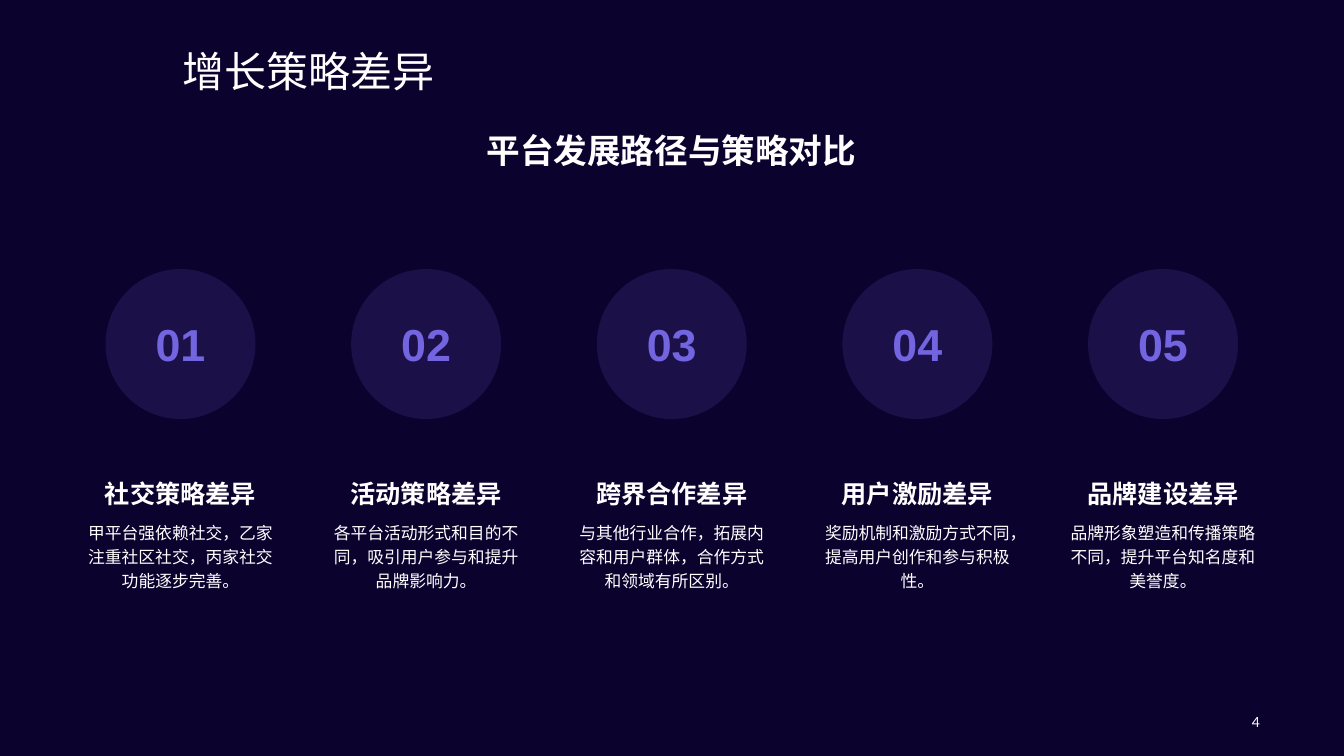
from dataclasses import dataclass

from lxml import etree
from pptx import Presentation
from pptx import util as u
from pptx.dml.color import RGBColor
from pptx.enum import shapes, text
from pptx.oxml import ns


@dataclass(frozen=True)
class Theme:
    """Colours, fonts and type sizes of the slide."""
    background: str = "0C022E"
    accent: str = "7365DF"
    ink: str = "FFFFFF"
    chinese: str = "Noto Sans CJK SC"
    latin: str = "Arial"
    footer: str = "Lato"
    title: int = 30
    subtitle: int = 24
    number: int = 32
    heading: int = 18
    body: int = 12
    page: int = 10


THEME = Theme()
ALIGN = text.PP_ALIGN
ANCHOR = text.MSO_ANCHOR
COLUMN_LEFT, COLUMN_WIDTH, COLUMN_PITCH = 1.83, 5.44, 6.19
CIRCLE_TOP, CIRCLE_SIZE = 6.78, 3.78
STRATEGIES = [
    ("社交策略差异", "甲平台强依赖社交，乙家注重社区社交，丙家社交功能逐步完善。"),
    ("活动策略差异", "各平台活动形式和目的不同，吸引用户参与和提升品牌影响力。"),
    ("跨界合作差异", "与其他行业合作，拓展内容和用户群体，合作方式和领域有所区别。"),
    ("用户激励差异", "奖励机制和激励方式不同，提高用户创作和参与积极性。"),
    ("品牌建设差异", "品牌形象塑造和传播策略不同，提升平台知名度和美誉度。"),
]


def write_text(shape, wording, size, color=THEME.ink, font=THEME.chinese,
               bold=False, align=ALIGN.CENTER, anchor=ANCHOR.TOP, spacing=None):
    """Write one formatted paragraph into a shape."""
    frame = shape.text_frame
    paragraph = frame.paragraphs[0]
    run = paragraph.add_run()
    run.text = wording
    formats = {
        frame: {"word_wrap": True, "vertical_anchor": anchor},
        paragraph: {"alignment": align, "line_spacing": spacing},
        run.font: {"name": font, "size": u.Pt(size), "bold": bold},
    }
    for target, values in formats.items():
        for name, value in values.items():
            setattr(target, name, value)
    run.font.color.rgb = RGBColor.from_string(color)
    east_asian = etree.SubElement(run.font._element, ns.qn("a:ea"))
    east_asian.set("typeface", font)


def add_text(slide, box, wording, size, **formats):
    """Add a text box at left, top, width, height in centimetres."""
    shape = slide.shapes.add_textbox(*map(u.Cm, box))
    write_text(shape, wording, size, **formats)


def add_number_circle(slide, left, wording):
    """Add a translucent circle holding a number."""
    box = (left, CIRCLE_TOP, CIRCLE_SIZE, CIRCLE_SIZE)
    circle = slide.shapes.add_shape(shapes.MSO_SHAPE.OVAL, *map(u.Cm, box))
    circle.shadow.inherit = False
    circle.line.fill.background()
    circle.fill.solid()
    circle.fill.fore_color.rgb = RGBColor.from_string(THEME.accent)
    color = circle._element.spPr.find(".//" + ns.qn("a:srgbClr"))
    etree.SubElement(color, ns.qn("a:alpha")).set("val", "15000")
    write_text(circle, wording, THEME.number, color=THEME.accent,
               font=THEME.latin, bold=True, anchor=ANCHOR.MIDDLE)


def add_strategy(slide, index, heading, body):
    """Add one column: numbered circle, heading and description."""
    left = COLUMN_LEFT + index * COLUMN_PITCH
    add_number_circle(slide, left + (COLUMN_WIDTH - CIRCLE_SIZE) / 2, f"{index + 1:02d}")
    add_text(slide, (left, 11.25, COLUMN_WIDTH, 1.68), heading, THEME.heading,
             bold=True, anchor=ANCHOR.BOTTOM)
    add_text(slide, (left, 12.95, COLUMN_WIDTH, 3.38), body, THEME.body, spacing=1.2)


def main():
    """Build and save the slide."""
    presentation = Presentation()
    presentation.slide_width = u.Cm(33.87)
    presentation.slide_height = u.Cm(19.05)
    slide = presentation.slides.add_slide(presentation.slide_layouts[6])
    slide.background.fill.solid()
    slide.background.fill.fore_color.rgb = RGBColor.from_string(THEME.background)

    add_text(slide, (4.34, 0.84, 26.85, 1.7), "增长策略差异", THEME.title,
             align=ALIGN.LEFT, anchor=ANCHOR.BOTTOM)
    add_text(slide, (COLUMN_LEFT, 3.15, 30.18, 3.23), "平台发展路径与策略对比",
             THEME.subtitle, bold=True)
    for index, (heading, body) in enumerate(STRATEGIES):
        add_strategy(slide, index, heading, body)
    add_text(slide, (21.84, 17.81, 10.16, 0.76), "4", THEME.page, font=THEME.footer,
             align=ALIGN.RIGHT, anchor=ANCHOR.MIDDLE)
    presentation.save("out.pptx")


if __name__ == "__main__":
    main()
